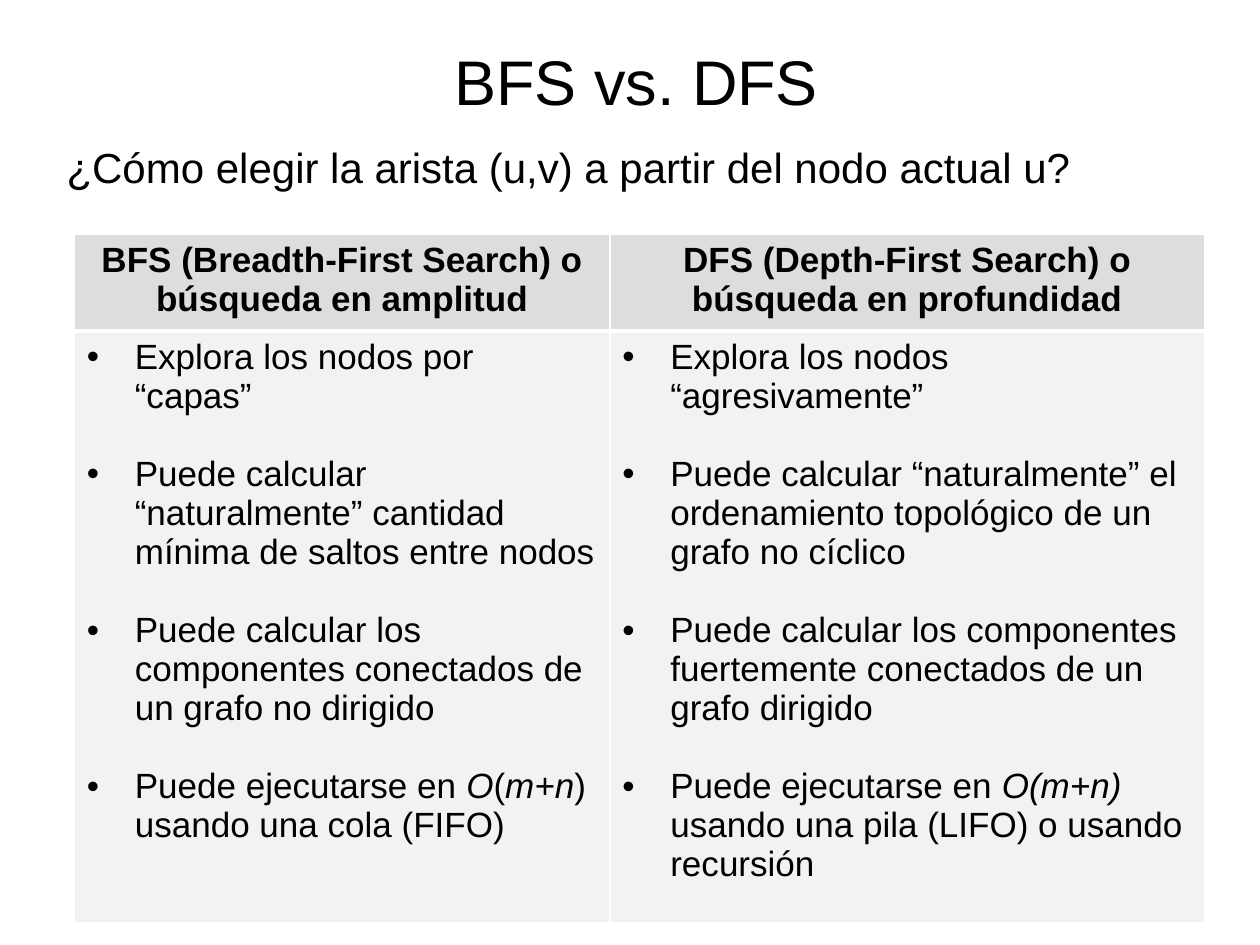
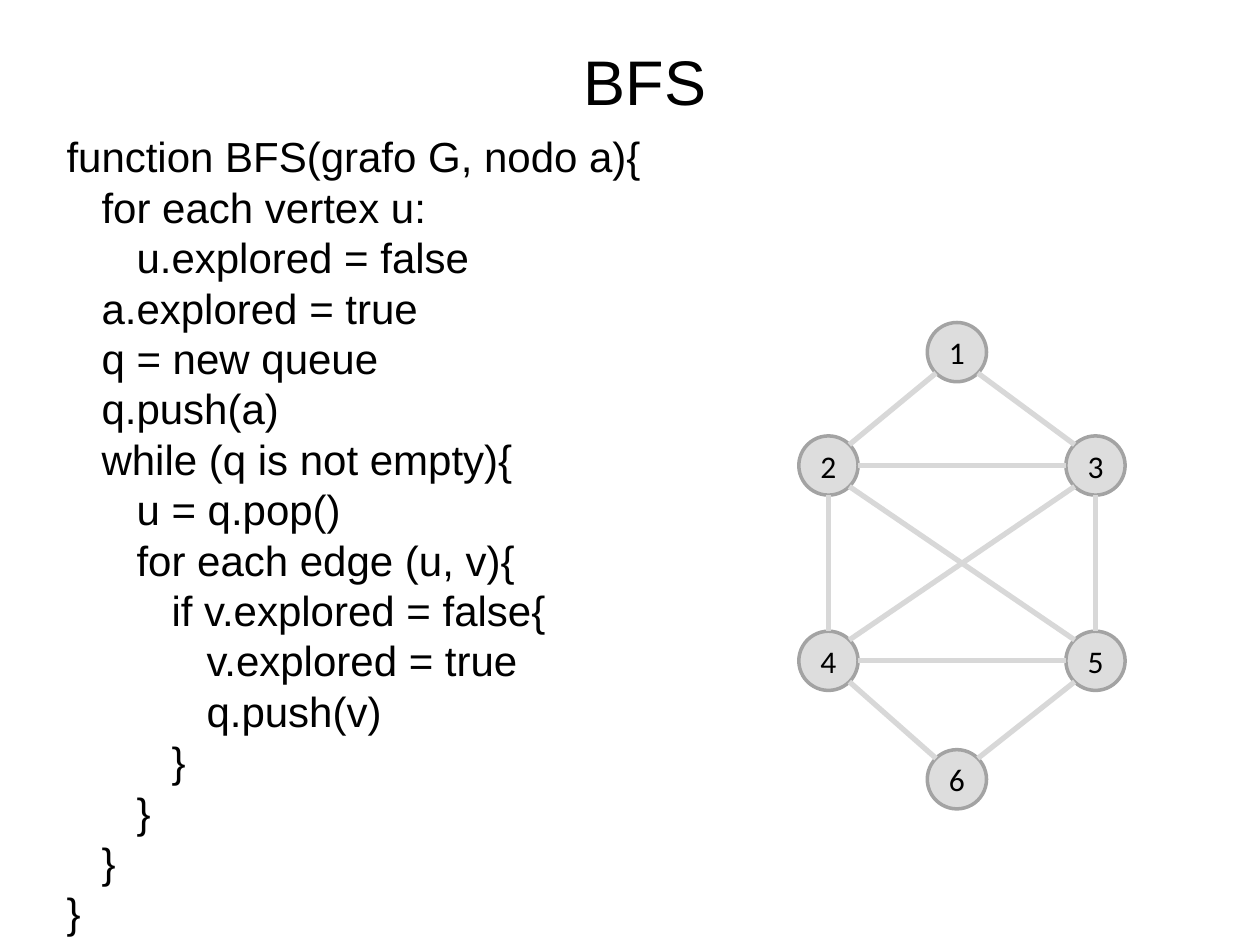
from math import hypot

from lxml.etree import SubElement
from pptx import Presentation
from pptx.dml.color import RGBColor
from pptx.enum.shapes import MSO_CONNECTOR, MSO_SHAPE
from pptx.enum.text import MSO_ANCHOR, PP_ALIGN
from pptx.oxml import parse_xml
from pptx.oxml.ns import nsdecls, qn
from pptx.util import Inches, Pt

BLACK = RGBColor(0x00, 0x00, 0x00)
WHITE = RGBColor(0xFF, 0xFF, 0xFF)
HEADER_FILL = RGBColor(0xDD, 0xDD, 0xDD)
BODY_FILL = RGBColor(0xF2, 0xF2, 0xF2)
NODE_FILL = RGBColor(0xDD, 0xDD, 0xDD)
NODE_LINE = RGBColor(0xA3, 0xA3, 0xA3)
EDGE_LINE = RGBColor(0xD8, 0xD8, 0xD8)

BODY_FONT = "Arial"
NODE_FONT = "Calibri"
NODE_SIZE = 0.47
BULLET_INDENT = Inches(0.38)
CODE_INDENT = Pt(20)

HEADERS = [
    "BFS (Breadth-First Search) o búsqueda en amplitud",
    "DFS (Depth-First Search) o búsqueda en profundidad",
]
# Asterisks enclose italics.
BULLETS = [
    ["Explora los nodos por “capas”",
     "Puede calcular “naturalmente” cantidad mínima de saltos entre nodos",
     "Puede calcular los componentes conectados de un grafo no dirigido",
     "Puede ejecutarse en *O*(*m+n*) usando una cola (FIFO)"],
    ["Explora los nodos “agresivamente”",
     "Puede calcular “naturalmente” el ordenamiento topológico de un grafo no cíclico",
     "Puede calcular los componentes fuertemente conectados de un grafo dirigido",
     "Puede ejecutarse en *O(m+n) *usando una pila (LIFO) o usando recursión"],
]
# Indent level and text of each line.
CODE = [
    (0, "function BFS(grafo G, nodo a){"),
    (1, "for each vertex u:"),
    (2, "u.explored = false"),
    (1, "a.explored = true"),
    (1, "q = new queue"),
    (1, "q.push(a)"),
    (1, "while (q is not empty){"),
    (2, "u = q.pop()"),
    (2, "for each edge (u, v){"),
    (3, "if v.explored = false{"),
    (4, "v.explored = true"),
    (4, "q.push(v)"),
    (3, "}"),
    (2, "}"),
    (1, "}"),
    (0, "}"),
]
# Left and top of each node.
NODES = {
    1: (7.36, 2.56),
    2: (6.34, 3.46), 3: (8.46, 3.46),
    4: (6.34, 5.01), 5: (8.46, 5.01),
    6: (7.36, 5.95),
}
EDGES = [(1, 2), (1, 3), (2, 3), (2, 4), (2, 5),
         (3, 4), (3, 5), (4, 5), (4, 6), (5, 6)]


def style_font(font, size, name=BODY_FONT, bold=False, italic=False):
    """Set the face, size and weight of black text."""
    font.name, font.size = name, Pt(size)
    font.bold, font.italic = bold, italic
    font.color.rgb = BLACK


def add_lines(slide, box, lines, size, align, anchor=MSO_ANCHOR.TOP):
    """Add a text box with one paragraph per (level, text) pair."""
    tf = slide.shapes.add_textbox(*map(Inches, box)).text_frame
    tf.word_wrap = True
    tf.vertical_anchor = anchor
    for i, (level, text) in enumerate(lines):
        p = tf.paragraphs[0] if i == 0 else tf.add_paragraph()
        p.text = text
        p.alignment = align
        if level:
            p._p.get_or_add_pPr().set("marL", str(level * CODE_INDENT))
        style_font(p.runs[0].font, size)


def add_title_slide(prs, title):
    """Add a blank slide with the shared centred title."""
    slide = prs.slides.add_slide(prs.slide_layouts[6])
    add_lines(slide, (0.83, 0.2, 8.58, 0.79), [(0, title)], 36,
              PP_ALIGN.CENTER, MSO_ANCHOR.BOTTOM)
    return slide


def style_cell(cell, fill, top, bottom):
    """Fill a cell and give it white borders, with widths in points."""
    cell.fill.solid()
    cell.fill.fore_color.rgb = fill
    tcPr = cell._tc.get_or_add_tcPr()
    widths = {"lnL": 1, "lnR": 1, "lnT": top, "lnB": bottom}
    for i, (tag, width) in enumerate(widths.items()):
        tcPr.insert(i, parse_xml(
            f'<a:{tag} {nsdecls("a")} w="{Pt(width)}"><a:solidFill>'
            f'<a:srgbClr val="{WHITE}"/></a:solidFill></a:{tag}>'))


def add_bullets(tf, items):
    """Write bulleted paragraphs separated by about one line."""
    for i, item in enumerate(items):
        p = tf.paragraphs[0] if i == 0 else tf.add_paragraph()
        if i:
            p.space_before = Pt(22.3)
        pPr = p._p.get_or_add_pPr()
        pPr.set("marL", str(BULLET_INDENT))
        pPr.set("indent", str(-BULLET_INDENT))
        SubElement(pPr, qn("a:buFont")).set("typeface", BODY_FONT)
        SubElement(pPr, qn("a:buChar")).set("char", "•")
        for j, part in enumerate(item.split("*")):
            r = p.add_run()
            r.text = part
            style_font(r.font, 20, italic=j % 2 == 1)


def add_comparison(slide):
    """Add the table that compares both searches; its rows grow to fit."""
    table = slide.shapes.add_table(
        2, 2, *map(Inches, (0.59, 1.86, 8.97, 2.28))).table
    table.horz_banding = False
    for col, width in zip(table.columns, (4.25, 4.72)):
        col.width = Inches(width)
    for row, height in zip(table.rows, (0.55, 1.73)):
        row.height = Inches(height)
    for i, (header, items) in enumerate(zip(HEADERS, BULLETS)):
        head, body = table.cell(0, i), table.cell(1, i)
        style_cell(head, HEADER_FILL, 1, 3)
        style_cell(body, BODY_FILL, 3, 1)
        p = head.text_frame.paragraphs[0]
        p.text = header
        p.alignment = PP_ALIGN.CENTER
        style_font(p.runs[0].font, 20, bold=True)
        add_bullets(body.text_frame, items)


def add_node(slide, number, left, top):
    """Add a numbered circle."""
    sp = slide.shapes.add_shape(
        MSO_SHAPE.OVAL, *map(Inches, (left, top, NODE_SIZE, NODE_SIZE)))
    sp.shadow.inherit = False
    sp.fill.solid()
    sp.fill.fore_color.rgb = NODE_FILL
    sp.line.color.rgb = NODE_LINE
    sp.line.width = Pt(2)
    tf = sp.text_frame
    tf.word_wrap = False
    tf.margin_left = tf.margin_right = tf.margin_top = tf.margin_bottom = 0
    tf.vertical_anchor = MSO_ANCHOR.MIDDLE
    p = tf.paragraphs[0]
    p.text = str(number)
    p.alignment = PP_ALIGN.CENTER
    style_font(p.runs[0].font, 18, NODE_FONT)


def rim_point(node, other):
    """Return the point of a node's rim, in steps of 45°, facing another."""
    signs = [(b > a) - (b < a) for a, b in zip(node, other)]
    radius = NODE_SIZE / 2
    return [Inches(a + radius + radius * s / hypot(*signs))
            for a, s in zip(node, signs)]


def add_edge(slide, start, end):
    """Add a line between the rims of two nodes."""
    line = slide.shapes.add_connector(
        MSO_CONNECTOR.STRAIGHT, *rim_point(start, end), *rim_point(end, start))
    line.line.color.rgb = EDGE_LINE
    line.line.width = Pt(3)
    SubElement(line._element.spPr, qn("a:effectLst"))


def add_graph(slide):
    """Add the nodes and edges of the example graph."""
    for number, corner in NODES.items():
        add_node(slide, number, *corner)
    for a, b in EDGES:
        add_edge(slide, NODES[a], NODES[b])


def main():
    """Build and save both slides."""
    prs = Presentation()
    prs.slide_width, prs.slide_height = Inches(10), Inches(7.5)

    slide = add_title_slide(prs, "BFS vs. DFS ")
    add_lines(slide, (0.43, 1.07, 9.13, 0.55),
              [(0, "¿Cómo elegir la arista (u,v) a partir del nodo actual u?")],
              24, PP_ALIGN.JUSTIFY)
    add_comparison(slide)

    slide = add_title_slide(prs, "BFS")
    add_lines(slide, (0.43, 0.99, 6.14, 6.51), CODE, 24, PP_ALIGN.JUSTIFY)
    add_graph(slide)

    prs.save("out.pptx")


main()
